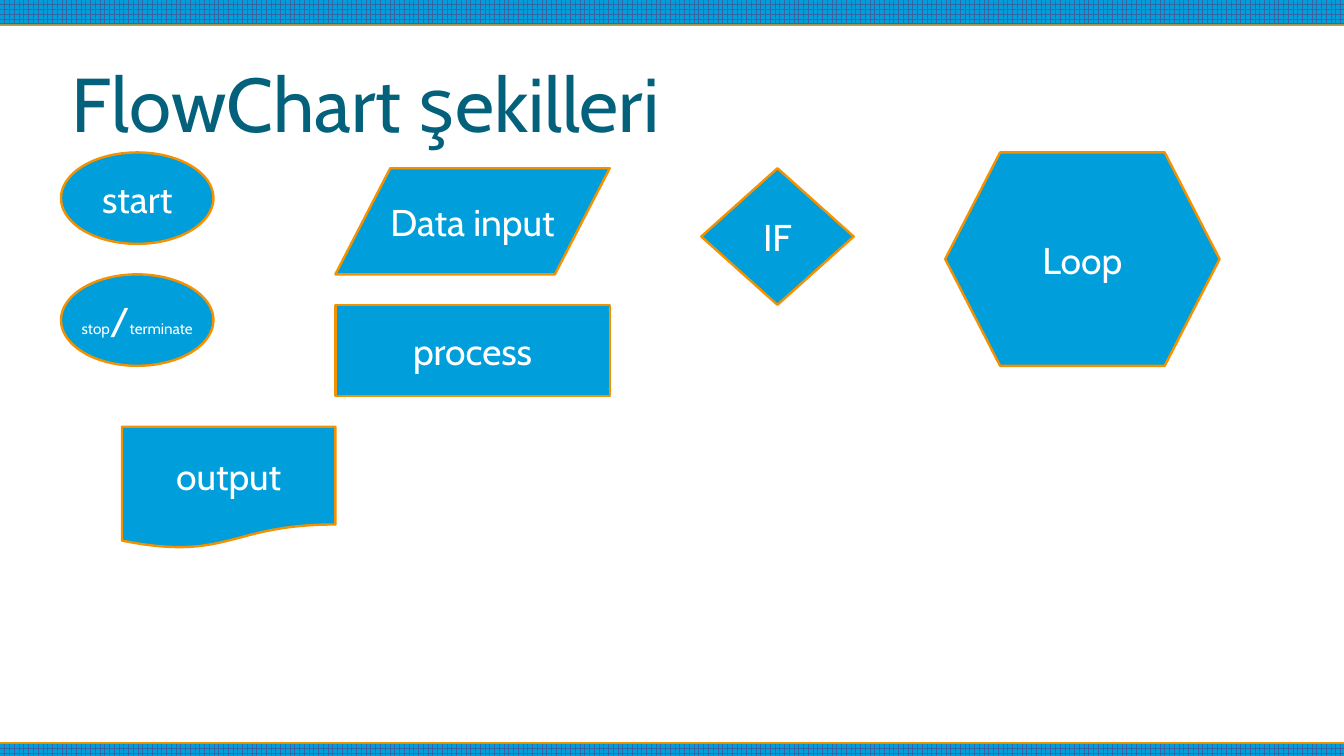
from lxml.etree import SubElement
from pptx import Presentation
from pptx.dml.color import RGBColor
from pptx.enum.dml import MSO_PATTERN as Pattern
from pptx.enum.shapes import MSO_SHAPE as Shape
from pptx.enum.text import MSO_ANCHOR as Anchor, PP_ALIGN as Align
from pptx.oxml.ns import qn
from pptx.util import Inches, Pt

WIDTH, HEIGHT = 11.02, 6.2


def color(value):
    return RGBColor.from_string(value)


class FlowSlide:
    font = "Cabin"
    blue, orange, grid = "009EDA", "F49100", "3465A4"
    title_color, label_color = "04617B", "FFFFFF"
    label_size = 22

    def __init__(self, deck):
        self.page = deck.slides.add_slide(deck.slide_layouts[6])

    def add_preset(self, kind, place):
        shape = self.page.shapes.add_shape(kind, *map(Inches, place))
        shape.shadow.inherit = False
        return shape

    def set_label(self, box, spans, tint, align, margin):
        frame = box.text_frame
        frame.vertical_anchor = Anchor.MIDDLE
        frame.margin_left = frame.margin_right = Inches(margin)
        frame.margin_top = frame.margin_bottom = Inches(margin)
        para = frame.paragraphs[0]
        para.alignment = align
        for text, size in spans:
            span = para.add_run()
            span.text = text
            span.font.name = self.font
            span.font.size = Pt(size)
            span.font.color.rgb = color(tint)
        return frame

    def band(self, top, height, shadow_angle):
        band = self.add_preset(Shape.RECTANGLE, (0, top, WIDTH, height))
        band.line.fill.background()
        band.fill.patterned()
        band.fill.pattern = Pattern.LARGE_GRID
        band.fill.fore_color.rgb = color(self.grid)
        band.fill.back_color.rgb = color(self.blue)
        effects = band._element.spPr.find(qn("a:effectLst"))
        shadow = SubElement(effects, qn("a:outerShdw"), dist=str(Pt(0.9)),
                            dir=str(shadow_angle * 60000), rotWithShape="0")
        SubElement(shadow, qn("a:srgbClr"), val=self.orange)

    def title(self, text, place):
        box = self.page.shapes.add_textbox(*map(Inches, place))
        frame = self.set_label(box, [(text, 45)], self.title_color, Align.LEFT, 0)
        frame.word_wrap = True

    def symbol(self, kind, place, *spans):
        shape = self.add_preset(kind, place)
        shape.fill.solid()
        shape.fill.fore_color.rgb = color(self.blue)
        shape.line.color.rgb = color(self.orange)
        shape.line.width = Pt(1.42)
        frame = self.set_label(shape, spans, self.label_color, Align.CENTER, 0.04)
        frame.word_wrap = False


def main():
    deck = Presentation()
    deck.slide_width, deck.slide_height = Inches(WIDTH), Inches(HEIGHT)
    slide = FlowSlide(deck)
    slide.band(0, 0.2, 90)
    slide.band(6.1, 0.1, 270)
    slide.title("FlowChart şekilleri", (0.59, 0.3, 9.84, 1.08))

    size = slide.label_size
    symbols = [
        (Shape.OVAL, (0.5, 1.25, 1.25, 0.75), ("start", size)),
        (Shape.OVAL, (0.5, 2.25, 1.25, 0.75),
         ("stop", 9), ("/", size), ("terminate", 9)),
        (Shape.FLOWCHART_DATA, (2.75, 1.38, 2.25, 0.87), ("Data input", size)),
        (Shape.FLOWCHART_PROCESS, (2.75, 2.5, 2.25, 0.75), ("process", size)),
        (Shape.FLOWCHART_DECISION, (5.75, 1.38, 1.25, 1.12), ("IF", size)),
        (Shape.FLOWCHART_PREPARATION, (7.75, 1.25, 2.25, 1.75), ("Loop", size)),
        (Shape.FLOWCHART_DOCUMENT, (1, 3.5, 1.75, 1), ("output", size)),
    ]
    for symbol in symbols:
        slide.symbol(*symbol)

    deck.save("out.pptx")


if __name__ == "__main__":
    main()
